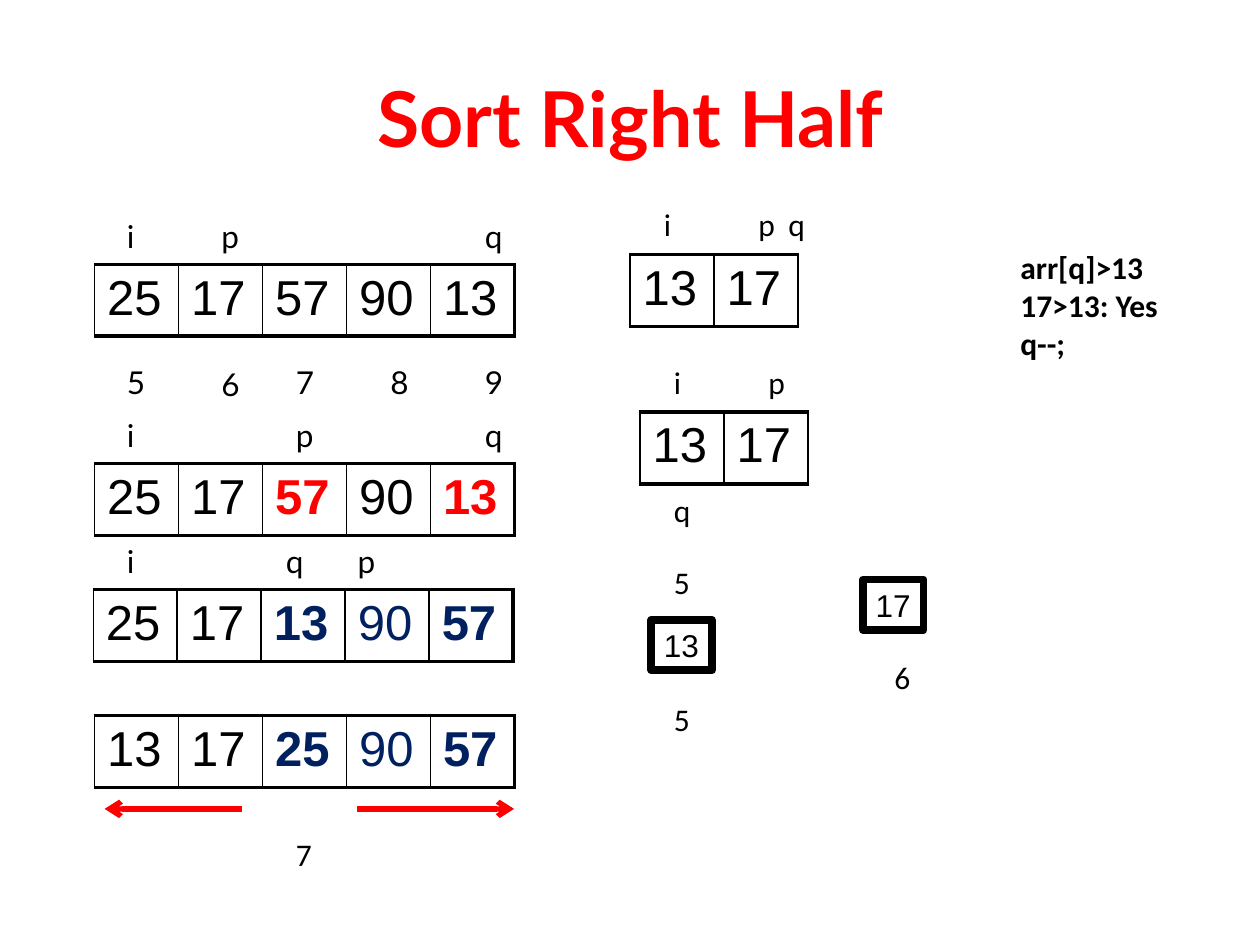
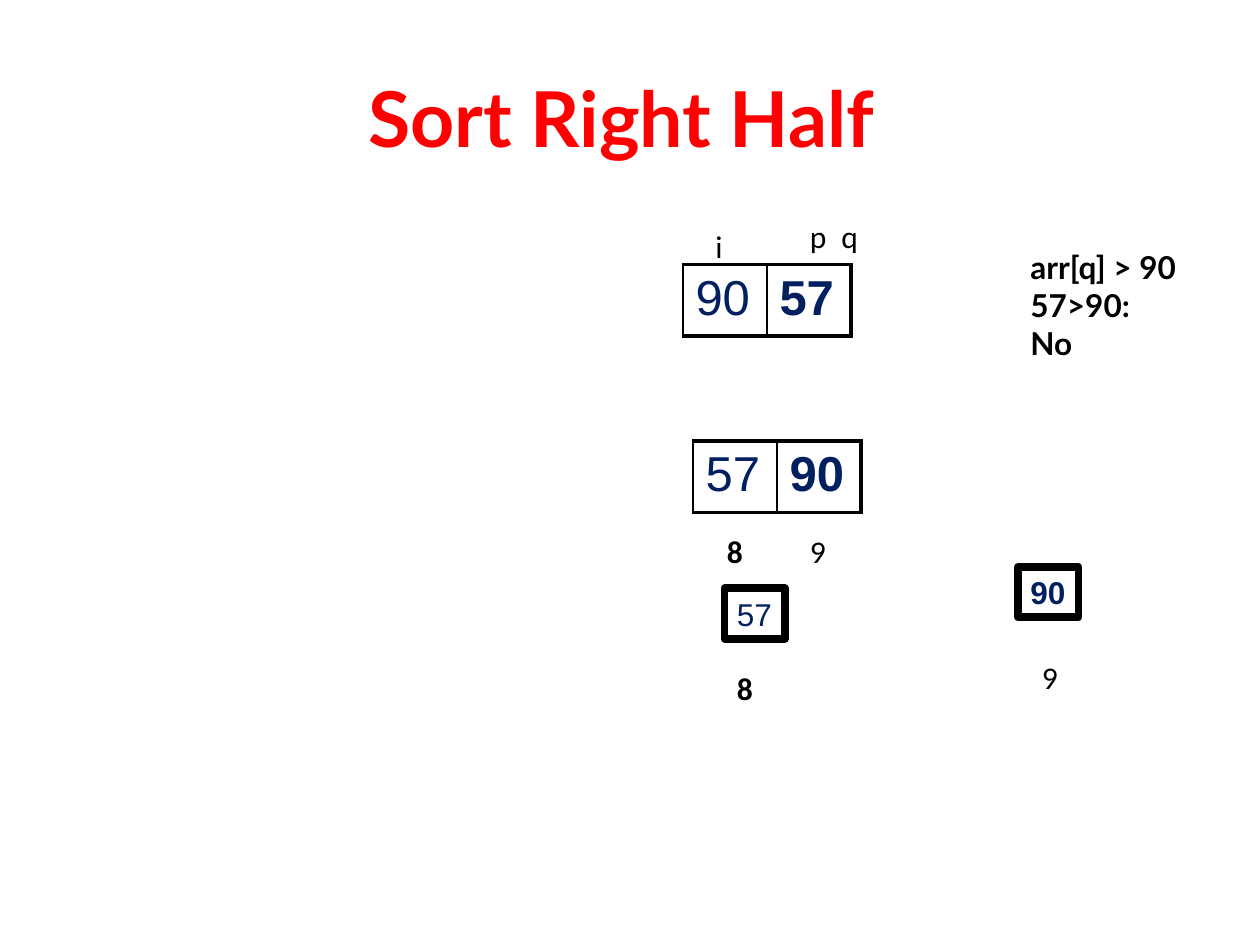
from lxml.etree import SubElement
from pptx import Presentation
from pptx.dml.color import RGBColor
from pptx.enum.shapes import MSO_CONNECTOR, MSO_SHAPE
from pptx.enum.text import MSO_ANCHOR, MSO_AUTO_SIZE, PP_ALIGN
from pptx.oxml import parse_xml
from pptx.oxml.ns import nsdecls, qn
from pptx.util import Inches, Pt

COLORS = {"black": "000000", "red": "FF0000", "navy": "002060"}
# Looks of a value: colour and weight
LOOKS = {
    "k": ("black", False),
    "R": ("red", True),
    "n": ("navy", False),
    "N": ("navy", True),
}
CELL_WIDTH = 2 / 3
ROW_HEIGHT = 0.57
THIN, THICK = 1, 2.25


def rgb(name):
    return RGBColor.from_string(COLORS[name])


def format_font(font, color="black", **values):
    for name, value in values.items():
        setattr(font, name, value)
    font.color.rgb = rgb(color)


def fit_frame(frame):
    frame.word_wrap = False
    frame.auto_size = MSO_AUTO_SIZE.SHAPE_TO_FIT_TEXT


def add_title_slide(presentation, text):
    slide = presentation.slides.add_slide(presentation.slide_layouts[5])
    title = slide.shapes.title
    title.left, title.top = Inches(0.5), Inches(0.3)
    title.width, title.height = Inches(9), Inches(1.25)
    title.text_frame.vertical_anchor = MSO_ANCHOR.MIDDLE
    paragraph = title.text_frame.paragraphs[0]
    paragraph.alignment = PP_ALIGN.CENTER
    run = paragraph.add_run()
    run.text = text
    format_font(run.font, "red", name="Lato", size=Pt(44), bold=True)
    return slide


def set_borders(cell, **widths):
    properties = cell._tc.get_or_add_tcPr()
    lines = [
        parse_xml(
            f'<a:{side} {nsdecls("a")} w="{Pt(width)}"><a:solidFill>'
            f'<a:srgbClr val="{COLORS["black"]}"/></a:solidFill></a:{side}>'
        )
        for side, width in widths.items()
    ]
    # Borders come before the fill
    for index, line in enumerate(lines):
        properties.insert(index, line)


def add_array(slide, left, top, values, looks, height=ROW_HEIGHT, right=THICK):
    """One row of cells, with one look letter for each value."""
    values = values.split()
    count = len(values)
    table = slide.shapes.add_table(
        1, count, Inches(left), Inches(top), Inches(count * CELL_WIDTH), Inches(height)
    ).table
    table.first_row = table.horz_banding = False
    for index, (value, look) in enumerate(zip(values, looks)):
        table.columns[index].width = Inches(CELL_WIDTH)
        cell = table.cell(0, index)
        cell.fill.background()
        last = index == count - 1
        set_borders(cell, lnL=THIN, lnR=right if last else THIN, lnT=THICK, lnB=THICK)
        run = cell.text_frame.paragraphs[0].add_run()
        run.text = value
        color, bold = LOOKS[look]
        format_font(run.font, color, name="Arial", size=Pt(28), bold=bold)


def add_text(slide, left, top, lines, font="Calibri", bold=False, width=0.34):
    height = 0.1 + 0.3 * len(lines)
    box = slide.shapes.add_textbox(
        Inches(left), Inches(top), Inches(width), Inches(height)
    )
    frame = box.text_frame
    fit_frame(frame)
    for index, line in enumerate(lines):
        paragraph = frame.add_paragraph() if index else frame.paragraphs[0]
        paragraph.text = line
        for run in paragraph.runs:
            format_font(run.font, name=font, size=Pt(18), bold=bold)


def add_labels(slide, top, labels, font="Calibri"):
    """Index letters or numbers on one line, as text and left edge."""
    for text, left in labels:
        add_text(slide, left, top, [text], font, width=0.26 if text == "i" else 0.34)


def add_single(slide, left, top, value, look):
    shape = slide.shapes.add_shape(
        MSO_SHAPE.RECTANGLE, Inches(left), Inches(top), Inches(0.48), Inches(0.4)
    )
    shape.shadow.inherit = False
    shape.fill.background()
    shape.line.color.rgb = rgb("black")
    shape.line.width = Pt(4.5)
    fit_frame(shape.text_frame)
    shape.text_frame.vertical_anchor = MSO_ANCHOR.TOP
    paragraph = shape.text_frame.paragraphs[0]
    paragraph.alignment = PP_ALIGN.LEFT
    run = paragraph.add_run()
    run.text = value
    color, bold = LOOKS[look]
    format_font(run.font, color, name="Arial", size=Pt(18), bold=bold)


def add_arrow(slide, start, end, y):
    line = slide.shapes.add_connector(
        MSO_CONNECTOR.STRAIGHT, Inches(start), Inches(y), Inches(end), Inches(y)
    )
    line.line.color.rgb = rgb("red")
    line.line.width = Pt(3)
    SubElement(line.line._get_or_add_ln(), qn("a:tailEnd"), type="arrow")
    SubElement(line._element.spPr, qn("a:effectLst"))


def build_partition_slide(presentation):
    slide = add_title_slide(presentation, " Sort Right Half ")

    # Steps of the partition
    add_labels(slide, 1.67, [("i", 0.91), ("p", 1.66), ("q", 3.75)], "Lato")
    add_array(slide, 0.75, 2.1, "25 17 57 90 13", "kkkkk", height=0.53)
    add_labels(slide, 2.83, [("5", 0.91), ("7", 2.25), ("8", 3), ("9", 3.75)], "Lato")
    add_labels(slide, 2.85, [("6", 1.66)], "Lato")
    add_labels(slide, 3.25, [("i", 0.91), ("p", 2.25), ("q", 3.75)], "Lato")
    add_array(slide, 0.75, 3.68, "25 17 57 90 13", "kkRkR")
    add_labels(slide, 4.25, [("i", 0.91), ("q", 2.17), ("p", 2.74)], "Lato")
    add_array(slide, 0.74, 4.68, "25 17 13 90 57", "kkNnN")
    add_array(slide, 0.75, 5.68, "13 17 25 90 57", "kkNnN")

    # Halves on both sides of the pivot
    add_arrow(slide, 1.92, 0.83, 6.42)
    add_arrow(slide, 2.83, 4.08, 6.42)
    add_labels(slide, 6.58, [("7", 2.25)])

    # Left part
    add_labels(slide, 1.58, [("i", 5.17), ("p", 5.92), ("q", 6.16)])
    add_array(slide, 5, 2.02, "13 17", "kk", right=THIN)
    add_labels(slide, 2.83, [("i", 5.25), ("p", 6)])
    add_array(slide, 5.08, 3.27, "13 17", "kk", right=THIN)
    add_labels(slide, 3.85, [("q", 5.25)])
    add_text(slide, 8, 1.92, ["arr[q]>13", "17>13: Yes", "q--;"], bold=True, width=1.3)

    # Sorted single values
    add_labels(slide, 4.42, [("5", 5.25)])
    add_single(slide, 5.17, 4.92, "13", "k")
    add_labels(slide, 5.51, [("5", 5.25)])
    add_single(slide, 6.85, 4.6, "17", "k")
    add_labels(slide, 5.17, [("6", 7)])


def build_right_part_slide(presentation):
    slide = add_title_slide(presentation, "Sort Right Half ")

    # Right part before and after the swap
    add_labels(slide, 1.75, [("i", 5.58)])
    add_labels(slide, 1.67, [("p", 6.33), ("q", 6.58)])
    add_array(slide, 5.42, 2.1, "90 57", "nN", height=0.53)
    add_text(
        slide, 8.08, 1.92, ["arr[q] > 90", "57>90:\vNo"], "Lato", bold=True, width=1.36
    )
    add_array(slide, 5.5, 3.5, "57 90", "nN")
    add_text(slide, 5.67, 4.17, ["8"], bold=True)
    add_labels(slide, 4.17, [("9", 6.33)])

    # Sorted single values
    add_single(slide, 5.75, 4.67, "57", "n")
    add_text(slide, 5.75, 5.26, ["8"], bold=True)
    add_single(slide, 8.08, 4.5, "90", "N")
    add_labels(slide, 5.17, [("9", 8.17)])


def main():
    presentation = Presentation()
    presentation.slide_width = Inches(10)
    presentation.slide_height = Inches(7.5)
    build_partition_slide(presentation)
    build_right_part_slide(presentation)
    presentation.save("out.pptx")


main()
